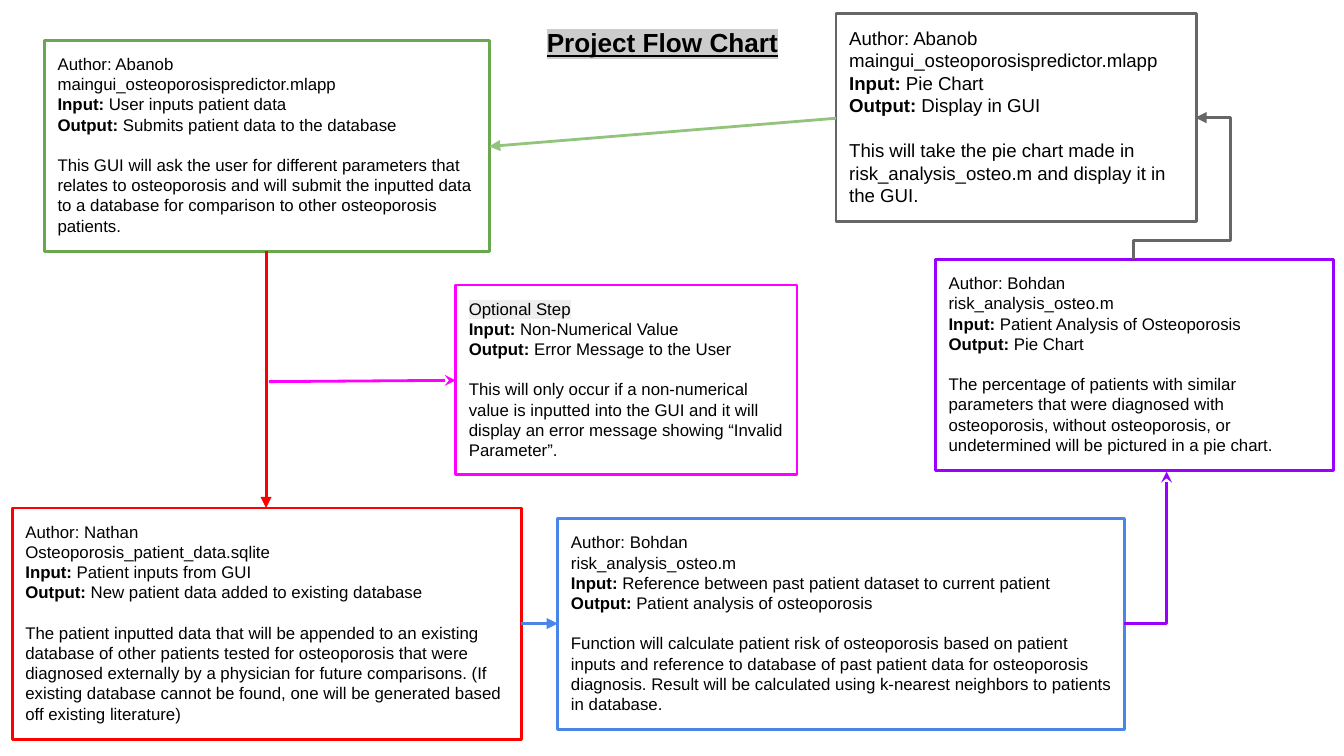
"""Build the project flow chart slide."""
from dataclasses import dataclass

from lxml import etree
from pptx import Presentation
from pptx.dml.color import RGBColor
from pptx.enum import shapes, text
from pptx.oxml.ns import qn
from pptx.util import Inches, Pt

COLOURS = {
    "black": "000000", "green": "6AA84F", "light green": "93C47D", "red": "FF0000",
    "blue": "4A86E8", "purple": "9900FF", "magenta": "FF00FF", "grey": "666666",
    "title mark": "CCCCCC", "step mark": "EEEEEE",
}
FONT = "Arial"
LINE_WIDTH = Pt(1.5)
LINE_HEIGHT = 1.2
SLIDE_WIDTH = Inches(10)
SLIDE_HEIGHT = SLIDE_WIDTH * 9 // 16


@dataclass(frozen=True)
class Step:
    place: tuple[float, float, float, float]
    colour: str
    heading: tuple[str, ...]
    input: str
    output: str
    description: str
    size: int = 9
    mark: str = ""


@dataclass(frozen=True)
class Arrow:
    start: tuple[float, float]
    end: tuple[float, float]
    colour: str
    head: str = "triangle"
    geometry: str = "line"
    adjustments: tuple[int, ...] = ()
    rotation: int = 0


STEPS = (
    Step((0.33, 0.3, 3.31, 1.57), "green",
         ("Author: Abanob", "maingui_osteoporosispredictor.mlapp"),
         "User inputs patient data", "Submits patient data to the database",
         "This GUI will ask the user for different parameters that relates to osteoporosis "
         "and will submit the inputted data to a database for comparison to other "
         "osteoporosis patients."),
    Step((0.09, 3.78, 3.79, 1.72), "red",
         ("Author: Nathan", "Osteoporosis_patient_data.sqlite"),
         "Patient inputs from GUI", "New patient data added to existing database",
         "The patient inputted data that will be appended to an existing database of other "
         "patients tested for osteoporosis that were diagnosed externally by a physician for "
         "future comparisons. (If existing database cannot be found, one will be generated "
         "based off existing literature)"),
    Step((4.15, 3.86, 4.22, 1.57), "blue",
         ("Author: Bohdan", "risk_analysis_osteo.m"),
         "Reference between past patient dataset to current patient",
         "Patient analysis of osteoporosis",
         "Function will calculate patient risk of osteoporosis based on patient inputs and "
         "reference to database of past patient data for osteoporosis diagnosis. Result will "
         "be calculated using k-nearest neighbors to patients in database."),
    Step((6.96, 1.93, 2.96, 1.57), "purple",
         ("Author: Bohdan", "risk_analysis_osteo.m"),
         "Patient Analysis of Osteoporosis", "Pie Chart",
         "The percentage of patients with similar parameters that were diagnosed with "
         "osteoporosis, without osteoporosis, or undetermined will be pictured in a pie chart."),
    Step((3.39, 2.12, 2.54, 1.41), "magenta", ("Optional Step",),
         "Non-Numerical Value", "Error Message to the User",
         "This will only occur if a non-numerical value is inputted into the GUI and it will "
         "display an error message showing “Invalid Parameter”.", mark="step mark"),
    Step((6.22, 0.1, 2.68, 1.55), "grey",
         ("Author: Abanob", "maingui_osteoporosispredictor.mlapp"),
         "Pie Chart", "Display in GUI",
         "This will take the pie chart made in risk_analysis_osteo.m and display it in the GUI.",
         size=10),
)

ARROWS = (
    Arrow((1.98, 1.87), (1.98, 3.78), "red"),
    Arrow((3.88, 4.64), (4.15, 4.64), "blue"),
    Arrow((2, 2.84), (3.39, 2.83), "magenta", "stealth"),
    Arrow((8.36, 4.64), (8.68, 3.51), "purple", "stealth", "bentConnector2"),
    Arrow((8.14, 1.17), (9.19, 1.63), "grey", "triangle", "bentConnector4",
          (13200, 157300), 270),
    Arrow((6.22, 0.88), (3.64, 1.09), "light green"),
)


def colour_of(name: str) -> RGBColor:
    return RGBColor.from_string(COLOURS[name])


def prepare_frame(shape):
    frame = shape.text_frame
    frame.word_wrap = True
    frame.auto_size = text.MSO_AUTO_SIZE.SHAPE_TO_FIT_TEXT
    frame.vertical_anchor = text.MSO_ANCHOR.TOP
    frame.margin_left = frame.margin_right = Inches(0.1)
    frame.margin_top = frame.margin_bottom = Inches(0.1)
    return frame


def style_paragraph(paragraph, size: int, alignment=text.PP_ALIGN.LEFT) -> None:
    paragraph.alignment = alignment
    paragraph.font.name = FONT
    paragraph.font.size = Pt(size)
    paragraph.font.color.rgb = colour_of("black")


def highlight(run, mark: str) -> None:
    run.font.color.rgb = colour_of("black")
    element = etree.Element(qn("a:highlight"))
    etree.SubElement(element, qn("a:srgbClr"), val=COLOURS[mark])
    run.font.fill._xPr.find(qn("a:solidFill")).addnext(element)


def draw_step(slide, step: Step) -> None:
    shape = slide.shapes.add_shape(shapes.MSO_SHAPE.RECTANGLE, *map(Inches, step.place))
    shape.shadow.inherit = False
    shape.fill.background()
    shape.line.color.rgb = colour_of(step.colour)
    shape.line.width = LINE_WIDTH
    frame = prepare_frame(shape)
    lines = [("", heading) for heading in step.heading]
    lines += [("Input:", " " + step.input), ("Output:", " " + step.output),
              ("", step.description)]
    for index, (label, wording) in enumerate(lines):
        paragraph = frame.add_paragraph() if index else frame.paragraphs[0]
        style_paragraph(paragraph, step.size)
        if label:
            label_run = paragraph.add_run()
            label_run.text = label
            label_run.font.bold = True
        run = paragraph.add_run()
        run.text = wording
        if step.mark and index == 0:
            highlight(run, step.mark)
    paragraph.space_before = Pt(step.size * LINE_HEIGHT)


def draw_arrow(slide, arrow: Arrow) -> None:
    connector = slide.shapes.add_connector(
        shapes.MSO_CONNECTOR.STRAIGHT, *map(Inches, arrow.start + arrow.end))
    connector.line.color.rgb = colour_of(arrow.colour)
    connector.line.width = LINE_WIDTH
    properties = connector._element.spPr
    geometry = properties.find(qn("a:prstGeom"))
    geometry.set("prst", arrow.geometry)
    guides = geometry.find(qn("a:avLst"))
    for number, value in enumerate(arrow.adjustments, 1):
        etree.SubElement(guides, qn("a:gd"), name=f"adj{number}", fmla=f"val {value}")
    if arrow.rotation:
        properties.find(qn("a:xfrm")).set("rot", str(arrow.rotation * 60000))
    etree.SubElement(properties.find(qn("a:ln")), qn("a:tailEnd"), type=arrow.head)
    etree.SubElement(properties, qn("a:effectLst"))


def draw_title(slide) -> None:
    box = slide.shapes.add_textbox(*map(Inches, (3.45, 0.1, 2.96, 0.44)))
    paragraph = prepare_frame(box).paragraphs[0]
    style_paragraph(paragraph, 14, text.PP_ALIGN.CENTER)
    paragraph.font.bold = True
    paragraph.font.underline = True
    run = paragraph.add_run()
    run.text = "Project Flow Chart"
    highlight(run, "title mark")


def main() -> None:
    presentation = Presentation()
    presentation.slide_width = SLIDE_WIDTH
    presentation.slide_height = SLIDE_HEIGHT
    slide = presentation.slides.add_slide(presentation.slide_layouts[6])
    for step in STEPS:
        draw_step(slide, step)
    for arrow in ARROWS:
        draw_arrow(slide, arrow)
    draw_title(slide)
    presentation.save("out.pptx")


main()
